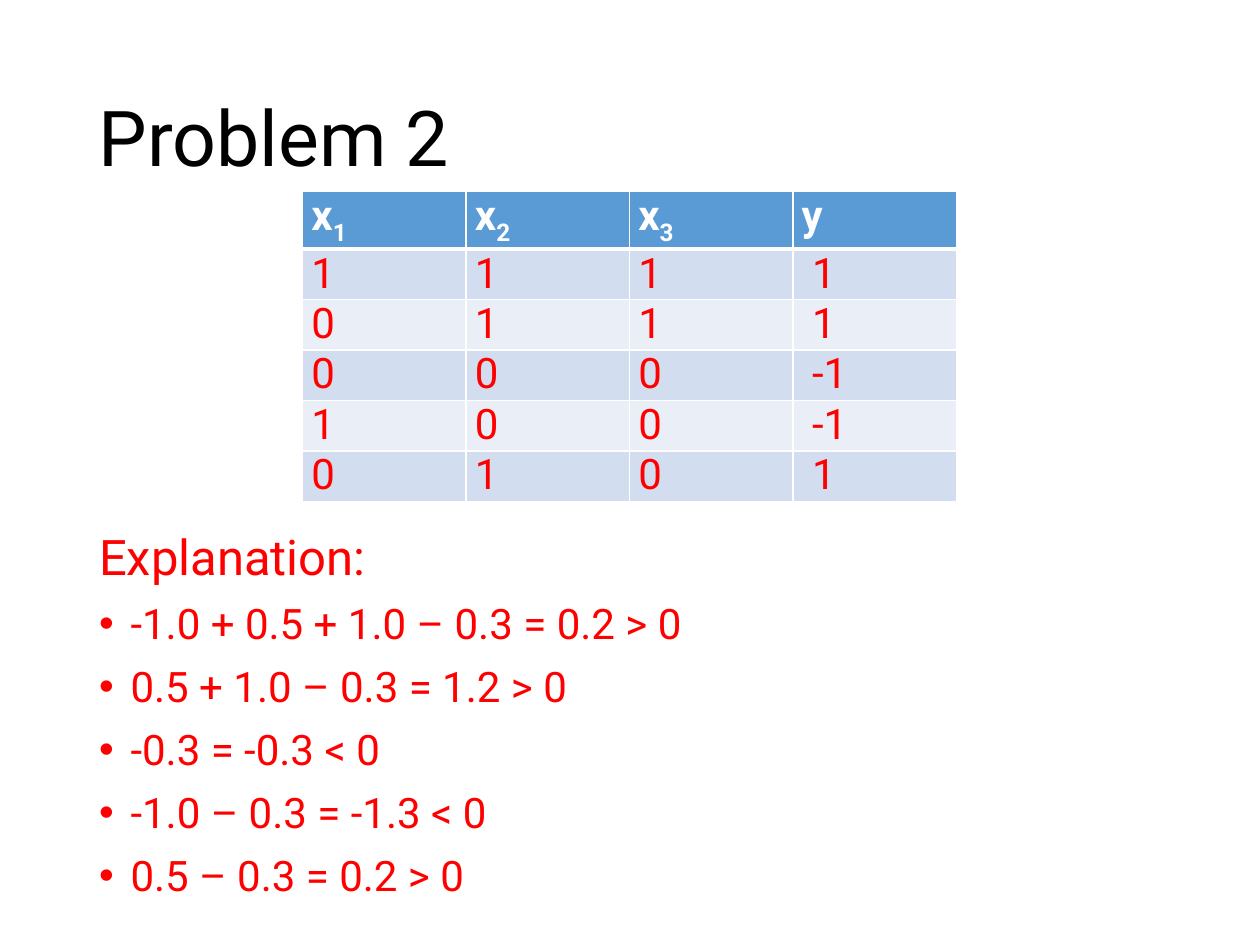
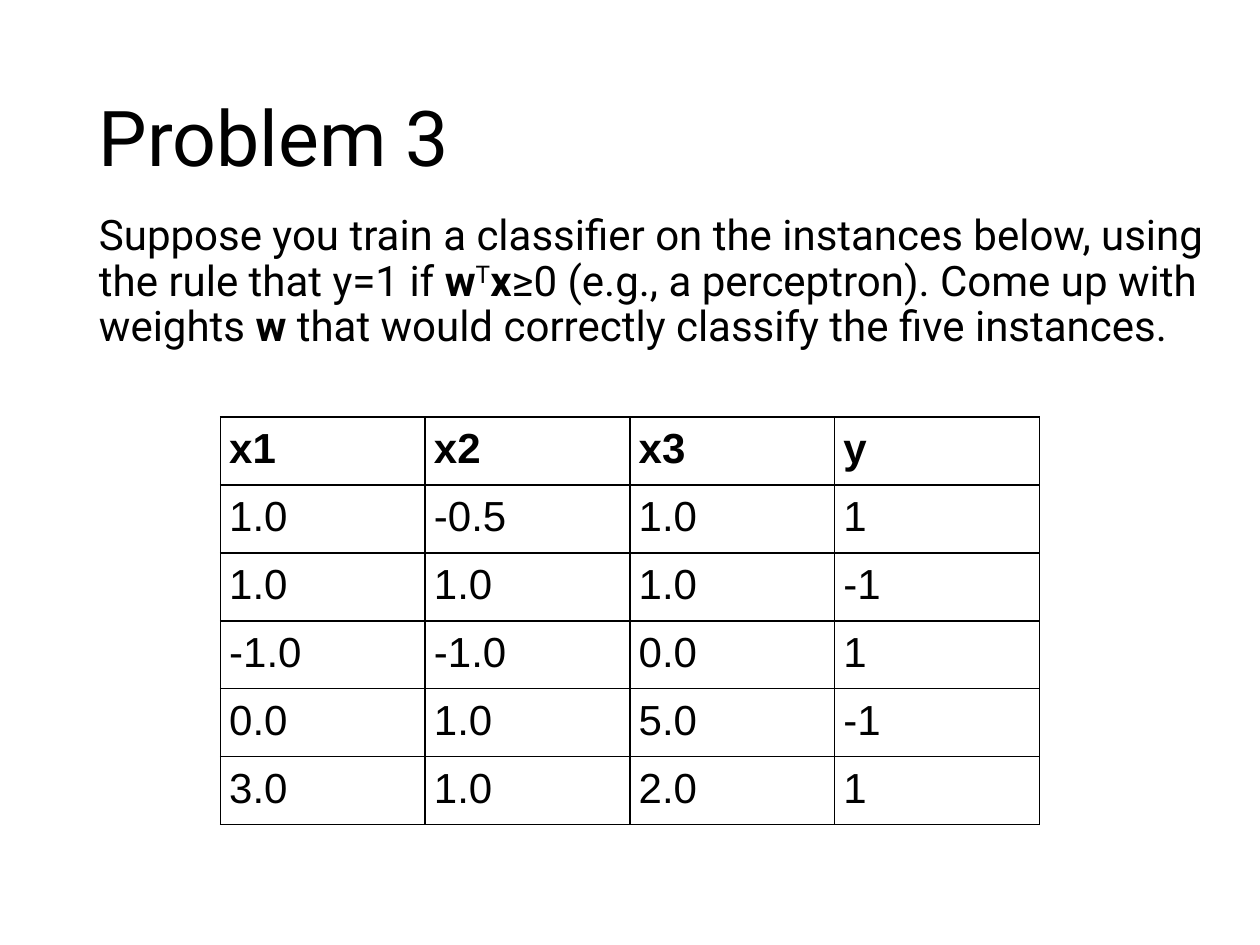
from dataclasses import dataclass

from lxml import etree
from pptx import Presentation
from pptx.dml.color import RGBColor
from pptx.enum.text import MSO_ANCHOR
from pptx.oxml.ns import qn
from pptx.slide import Slide
from pptx.table import _Cell
from pptx.text.text import _Paragraph
from pptx.util import Pt

TOP, MIDDLE = MSO_ANCHOR.TOP, MSO_ANCHOR.MIDDLE


@dataclass(frozen=True)
class Theme:
    font: str = "Roboto"
    plain_font: str = "Arial"
    black: str = "000000"
    white: str = "FFFFFF"
    answer: str = "FF0000"
    header: str = "5B9BD5"
    bands: tuple[str, str] = ("D2DEEF", "EAEFF7")
    title_size: float = 44
    heading_size: float = 28
    body_size: float = 24
    line_spacing: float = 0.9
    paragraph_gap: float = 10
    bullet_indent: float = 18
    cell_inset: float = 5


THEME = Theme()


@dataclass(frozen=True)
class Run:
    text: str
    bold: bool = False
    baseline: int = 0


@dataclass(frozen=True)
class Line:
    runs: tuple[Run, ...]
    size: float = THEME.body_size
    color: str = THEME.black
    bullet: bool = False


@dataclass(frozen=True)
class Box:
    left: float
    top: float
    width: float
    height: float


@dataclass(frozen=True)
class TableStyle:
    font: str
    header_color: str
    body_color: str
    border: str
    header_fill: str | None
    bands: tuple[str | None, ...]
    header_rule: float
    vertical_inset: float


TITLE_BOX = Box(49.5, 28.75, 621, 104.5)

BANDED = TableStyle(THEME.font, THEME.white, THEME.answer, THEME.white,
                    THEME.header, THEME.bands, 3, 0)
GRID = TableStyle(THEME.plain_font, THEME.black, THEME.black, THEME.black,
                  None, (None,), 1, THEME.cell_inset)


def style_font(paragraph: _Paragraph, font: str, size: float, color: str) -> None:
    paragraph.font.name = font
    paragraph.font.size = Pt(size)
    paragraph.font.color.rgb = RGBColor.from_string(color)


def add_runs(paragraph: _Paragraph, runs: tuple[Run, ...]) -> None:
    same_weight = len({part.bold for part in runs}) == 1
    if same_weight:
        paragraph.font.bold = runs[0].bold
    for part in runs:
        run = paragraph.add_run()
        run.text = part.text
        if not same_weight:
            run.font.bold = part.bold
        if part.baseline:
            run._r.get_or_add_rPr().set("baseline", str(part.baseline * 1000))


def add_bullet(paragraph: _Paragraph) -> None:
    properties = paragraph._p.get_or_add_pPr()
    indent = Pt(THEME.bullet_indent)
    properties.set("marL", str(indent))
    properties.set("indent", str(-indent))
    font = etree.Element(qn("a:buFont"), typeface="Arial")
    mark = etree.Element(qn("a:buChar"), char="•")
    defaults = properties.find(qn("a:defRPr"))
    defaults.addprevious(font)
    defaults.addprevious(mark)


def add_text(slide: Slide, box: Box, lines: list[Line], anchor: MSO_ANCHOR = TOP) -> None:
    frame = slide.shapes.add_textbox(
        Pt(box.left), Pt(box.top), Pt(box.width), Pt(box.height)).text_frame
    frame.word_wrap = True
    frame.vertical_anchor = anchor
    for index, line in enumerate(lines):
        paragraph = frame.add_paragraph() if index else frame.paragraphs[0]
        paragraph.line_spacing = THEME.line_spacing
        if index:
            paragraph.space_before = Pt(THEME.paragraph_gap)
        style_font(paragraph, THEME.font, line.size, line.color)
        add_runs(paragraph, line.runs)
        if line.bullet:
            add_bullet(paragraph)


def add_title(slide: Slide, title: str) -> None:
    add_text(slide, TITLE_BOX, [Line((Run(title),), THEME.title_size)], MIDDLE)


def set_borders(cell: _Cell, color: str, top: float, bottom: float) -> None:
    properties = cell._tc.get_or_add_tcPr()
    widths = {"a:lnL": 1, "a:lnR": 1, "a:lnT": top, "a:lnB": bottom}
    for position, (side, width) in enumerate(widths.items()):
        border = etree.Element(qn(side), w=str(Pt(width)))
        fill = etree.SubElement(border, qn("a:solidFill"))
        etree.SubElement(fill, qn("a:srgbClr"), val=color)
        properties.insert(position, border)


def fill_cell(cell: _Cell, runs: tuple[Run, ...], row: int, style: TableStyle) -> None:
    is_header = row == 0
    fill = style.header_fill if is_header else style.bands[(row - 1) % len(style.bands)]
    if fill:
        cell.fill.solid()
        cell.fill.fore_color.rgb = RGBColor.from_string(fill)
    else:
        cell.fill.background()
    cell.margin_left = cell.margin_right = Pt(THEME.cell_inset)
    cell.margin_top = cell.margin_bottom = Pt(style.vertical_inset)
    paragraph = cell.text_frame.paragraphs[0]
    style_font(paragraph, style.font, THEME.body_size,
               style.header_color if is_header else style.body_color)
    add_runs(paragraph, runs)
    set_borders(cell, style.border,
                style.header_rule if row == 1 else 1,
                style.header_rule if is_header else 1)


def add_data_table(slide: Slide, box: Box, header_height: float,
                   header: list[tuple[Run, ...]], records: list[tuple[str, ...]],
                   style: TableStyle) -> None:
    rows = [header] + [[(Run(value),) for value in record] for record in records]
    table = slide.shapes.add_table(
        len(rows), len(header),
        Pt(box.left), Pt(box.top), Pt(box.width), Pt(box.height)).table
    table.first_row = table.horz_banding = False
    row_height = (box.height - header_height) / len(records)
    for column in table.columns:
        column.width = Pt(box.width / len(header))
    for row, cells in enumerate(rows):
        table.rows[row].height = Pt(row_height if row else header_height)
        for column, runs in enumerate(cells):
            fill_cell(table.cell(row, column), runs, row, style)


def build_problem_2(slide: Slide) -> None:
    add_title(slide, "Problem 2")
    explanation = [
        "-1.0 + 0.5 + 1.0 – 0.3 = 0.2 > 0",
        "0.5 + 1.0 – 0.3 = 1.2 > 0",
        "-0.3 = -0.3 < 0",
        "-1.0 – 0.3 = -1.3 < 0",
        "0.5 – 0.3 = 0.2 > 0",
    ]
    heading = Line((Run("Explanation:"),), THEME.heading_size, THEME.answer)
    steps = [Line((Run(step),), color=THEME.answer, bullet=True) for step in explanation]
    add_text(slide, Box(49.5, 301, 643.5, 227), [heading, *steps])
    header = [(Run("x", True), Run(str(number), True, -25)) for number in (1, 2, 3)]
    header.append((Run("y", True),))
    records = [
        ("1", "1", "1", "\u00a01"),
        ("0", "1", "1", "\u00a01"),
        ("0", "0", "0", "\u00a0-1"),
        ("1", "0", "0", "\u00a0-1"),
        ("0", "1", "0", "\u00a01"),
    ]
    add_data_table(slide, Box(173, 109.5, 373.6, 172), 31, header, records, BANDED)


def build_problem_3(slide: Slide) -> None:
    add_title(slide, "Problem 3")
    question = Line((
        Run("Suppose you train a classifier on the instances below, "
            "using the rule that y=1 if "),
        Run("w", True),
        Run("T", baseline=30),
        Run("x", True),
        Run("≥0 (e.g., a perceptron). Come up with weights "),
        Run("w", True),
        Run(" that would correctly classify the five instances."),
    ))
    add_text(slide, Box(49.5, 119, 670.5, 409), [question])
    header = [(Run(name, True),) for name in ("x1", "x2", "x3", "y")]
    records = [
        ("1.0", "-0.5", "1.0", "1"),
        ("1.0", "1.0", "1.0", "-1"),
        ("-1.0", "-1.0", "0.0", "1"),
        ("0.0", "1.0", "5.0", "-1"),
        ("3.0", "1.0", "2.0", "1"),
    ]
    add_data_table(slide, Box(126, 238.3, 468, 220.8), 36.8, header, records, GRID)


def main() -> None:
    presentation = Presentation()
    presentation.slide_width, presentation.slide_height = Pt(720), Pt(540)
    blank = presentation.slide_layouts[6]
    for build in (build_problem_2, build_problem_3):
        build(presentation.slides.add_slide(blank))
    presentation.save("out.pptx")


main()
